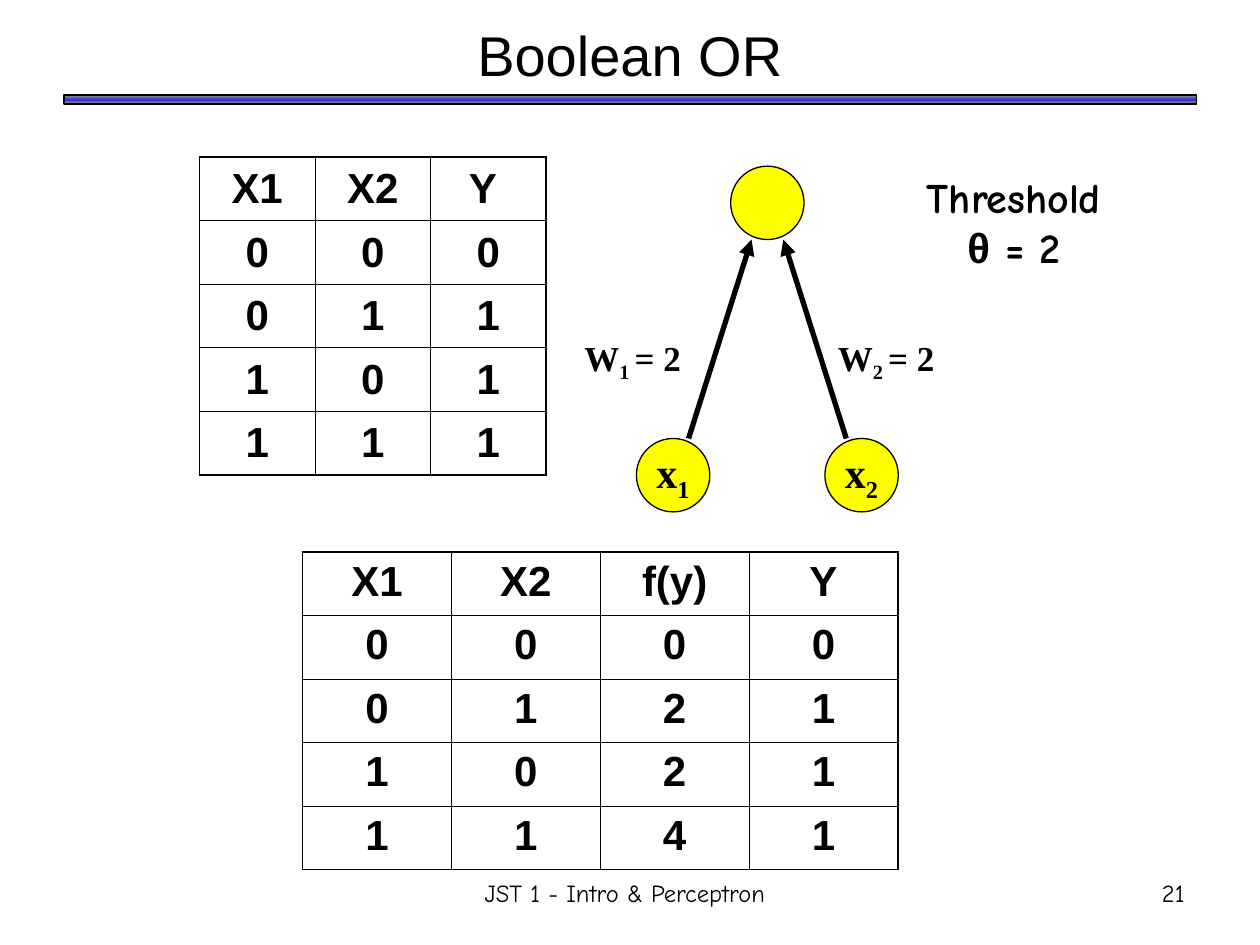
from copy import deepcopy

from pptx import Presentation
from pptx.dml.color import RGBColor
from pptx.enum.shapes import MSO_CONNECTOR, MSO_SHAPE
from pptx.enum.text import MSO_ANCHOR, MSO_AUTO_SIZE, PP_ALIGN
from pptx.oxml.ns import qn
from pptx.util import Cm, Pt
from lxml.etree import SubElement

BLACK = RGBColor(0x00, 0x00, 0x00)
YELLOW = RGBColor(0xFF, 0xFF, 0x00)
GREY = RGBColor(0x96, 0x96, 0x96)
BLUE = RGBColor(0x33, 0x33, 0xCC)
SANS, SERIF, COMIC = "Arial", "Times New Roman", "Comic Neue"

# Content: lengths in cm
TITLE = "Boolean OR"
TABLES = [
    dict(at=(4.02, 3.17), col=2.33, anchor=MSO_ANCHOR.MIDDLE,
         rows=[("X1", "X2", "Y "), "000", "011", "101", "111"]),
    dict(at=(6.1, 11.13), col=3.0, anchor=MSO_ANCHOR.TOP,
         rows=[("X1", "X2", "f(y)", "Y"), "0000", "0121", "1021", "1141"]),
]
ROW_H = 1.28

# Inputs: index, side of the output node, left edge of the weight label
INPUTS = [("1", -1, 11.53), ("2", 1, 16.64)]
NODE, AXIS = 1.48, 15.47
OUTPUT_TOP, INPUT_TOP, LABEL_TOP = 3.35, 8.84, 6.65
LABEL_W, LABEL_H = 2.5, 1.22
INPUT_DX, ARROW_BOTTOM_DX, ARROW_TOP_DX = 1.9, 1.59, 0.32

# Box, alignment, anchor, wrap, size, bold, paragraphs of (text, font) runs
TEXTS = [
    ((18.42, 3.33, 4.04, 2.29), PP_ALIGN.CENTER, MSO_ANCHOR.TOP, False, 24, True,
     [[("Threshold", COMIC)], [("θ", SANS), (" = 2", COMIC)]]),
    ((7.62, 17.36, 9.96, 1.27), PP_ALIGN.CENTER, MSO_ANCHOR.MIDDLE, True, 14, False,
     [[("JST 1 - Intro & Perceptron", COMIC)]]),
    ((18.85, 17.36, 5.28, 1.27), PP_ALIGN.RIGHT, MSO_ANCHOR.MIDDLE, True, 14, False,
     [[("21", COMIC)]]),
]


def add_run(p, text, font, size, bold=True, sub=False):
    r = p.add_run()
    r.text = text
    r.font.name, r.font.size, r.font.bold = font, Pt(size), bold
    r.font.color.rgb = BLACK
    if sub:
        r.font._element.set("baseline", "-25000")


def add_box(slide, box, anchor, wrap):
    tf = slide.shapes.add_textbox(*map(Cm, box)).text_frame
    tf.word_wrap, tf.vertical_anchor = wrap, anchor
    tf.auto_size = MSO_AUTO_SIZE.NONE if wrap else MSO_AUTO_SIZE.SHAPE_TO_FIT_TEXT
    return tf


def set_border(cell, side, width):
    ln = SubElement(cell._tc.get_or_add_tcPr(), qn(f"a:ln{side}"), w=str(Pt(width)))
    fill = SubElement(ln, qn("a:solidFill"))
    SubElement(fill, qn("a:srgbClr"), val=str(BLACK))


def add_truth_table(slide, at, col, anchor, rows):
    n_rows, n_cols = len(rows), len(rows[0])
    table = slide.shapes.add_table(n_rows, n_cols, *map(Cm, at),
                                   Cm(col * n_cols), Cm(ROW_H * n_rows)).table
    table.first_row = table.horz_banding = False
    for column in table.columns:
        column.width = Cm(col)
    for i, row in enumerate(rows):
        table.rows[i].height = Cm(ROW_H)
        for j, text in enumerate(row):
            cell = table.cell(i, j)
            outer = {"L": j == 0, "R": j == n_cols - 1,
                     "T": i == 0, "B": i == n_rows - 1}
            for side, is_outer in outer.items():
                set_border(cell, side, 1.08 if is_outer else 0.45)
            cell.fill.background()
            cell.vertical_anchor = anchor
            p = cell.text_frame.paragraphs[0]
            p.alignment = PP_ALIGN.CENTER
            add_run(p, text, SANS, 24)


def add_node(slide, center, top, index=None):
    sp = slide.shapes.add_shape(MSO_SHAPE.OVAL, Cm(center - NODE / 2), Cm(top),
                                Cm(NODE), Cm(NODE))
    sp.shadow.inherit = False
    sp.fill.solid()
    sp.fill.fore_color.rgb = YELLOW
    sp.line.color.rgb, sp.line.width = BLACK, Pt(0.75)
    if index:
        tf = sp.text_frame
        tf.word_wrap, tf.vertical_anchor = False, MSO_ANCHOR.MIDDLE
        p = tf.paragraphs[0]
        p.alignment = PP_ALIGN.CENTER
        add_run(p, "x", SERIF, 24)
        add_run(p, index, SERIF, 24, sub=True)


def add_arrow(slide, x1, y1, x2, y2):
    line = slide.shapes.add_connector(MSO_CONNECTOR.STRAIGHT,
                                      *map(Cm, (x1, y1, x2, y2)))
    line.line.color.rgb, line.line.width = BLACK, Pt(3)
    SubElement(line.line._get_or_add_ln(), qn("a:tailEnd"), type="triangle")
    SubElement(line._element.spPr, qn("a:effectLst"))


def main():
    prs = Presentation()
    prs.slide_width, prs.slide_height = Cm(25.4), Cm(19.05)
    slide = prs.slides.add_slide(prs.slide_layouts[5])

    # Title
    title = slide.shapes.title
    title.left, title.top, title.width, title.height = map(Cm, (1.27, -0.08, 22.86, 2.34))
    tf = title.text_frame
    tf.vertical_anchor = MSO_ANCHOR.MIDDLE
    tf.paragraphs[0].alignment = PP_ALIGN.CENTER
    add_run(tf.paragraphs[0], TITLE, SANS, 32, bold=False)

    # Gradient rule under the title
    bar = slide.shapes.add_shape(MSO_SHAPE.RECTANGLE, *map(Cm, (1.29, 1.92, 22.83, 0.18)))
    bar.shadow.inherit = False
    bar.line.color.rgb, bar.line.width = BLACK, Pt(1)
    bar.fill.gradient()
    bar.fill.gradient_angle = 90
    stops = bar._element.spPr.find(".//" + qn("a:gsLst"))
    stops.insert(1, deepcopy(stops[0]))
    for stop, position, color in zip(bar.fill.gradient_stops, (0, 0.5, 1),
                                     (GREY, BLUE, GREY)):
        stop.position, stop.color.rgb = position, color

    # Truth tables
    for truth_table in TABLES:
        add_truth_table(slide, **truth_table)

    # Perceptron
    add_node(slide, AXIS, OUTPUT_TOP)
    for index, side, label_left in INPUTS:
        add_node(slide, AXIS + side * INPUT_DX, INPUT_TOP, index)
        add_arrow(slide, AXIS + side * ARROW_BOTTOM_DX, INPUT_TOP,
                  AXIS + side * ARROW_TOP_DX, OUTPUT_TOP + NODE)
        label = add_box(slide, (label_left, LABEL_TOP, LABEL_W, LABEL_H),
                        MSO_ANCHOR.TOP, False)
        p = label.paragraphs[0]
        add_run(p, "W", SERIF, 20)
        add_run(p, index + " ", SERIF, 20, sub=True)
        add_run(p, "= 2", SERIF, 20)

    # Threshold, footer and slide number
    for box, align, anchor, wrap, size, bold, paragraphs in TEXTS:
        tf = add_box(slide, box, anchor, wrap)
        for i, runs in enumerate(paragraphs):
            p = tf.add_paragraph() if i else tf.paragraphs[0]
            p.alignment = align
            for text, font in runs:
                add_run(p, text, font, size, bold)

    prs.save("out.pptx")


if __name__ == "__main__":
    main()
